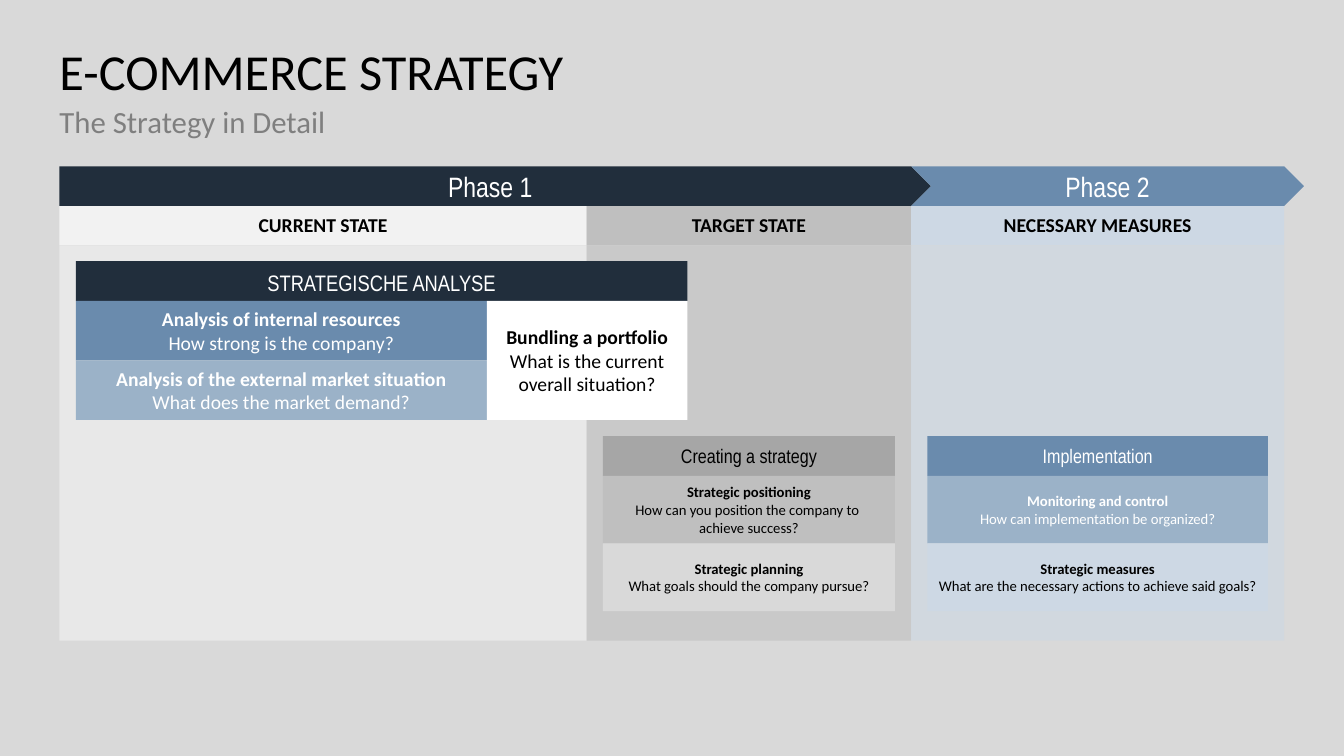
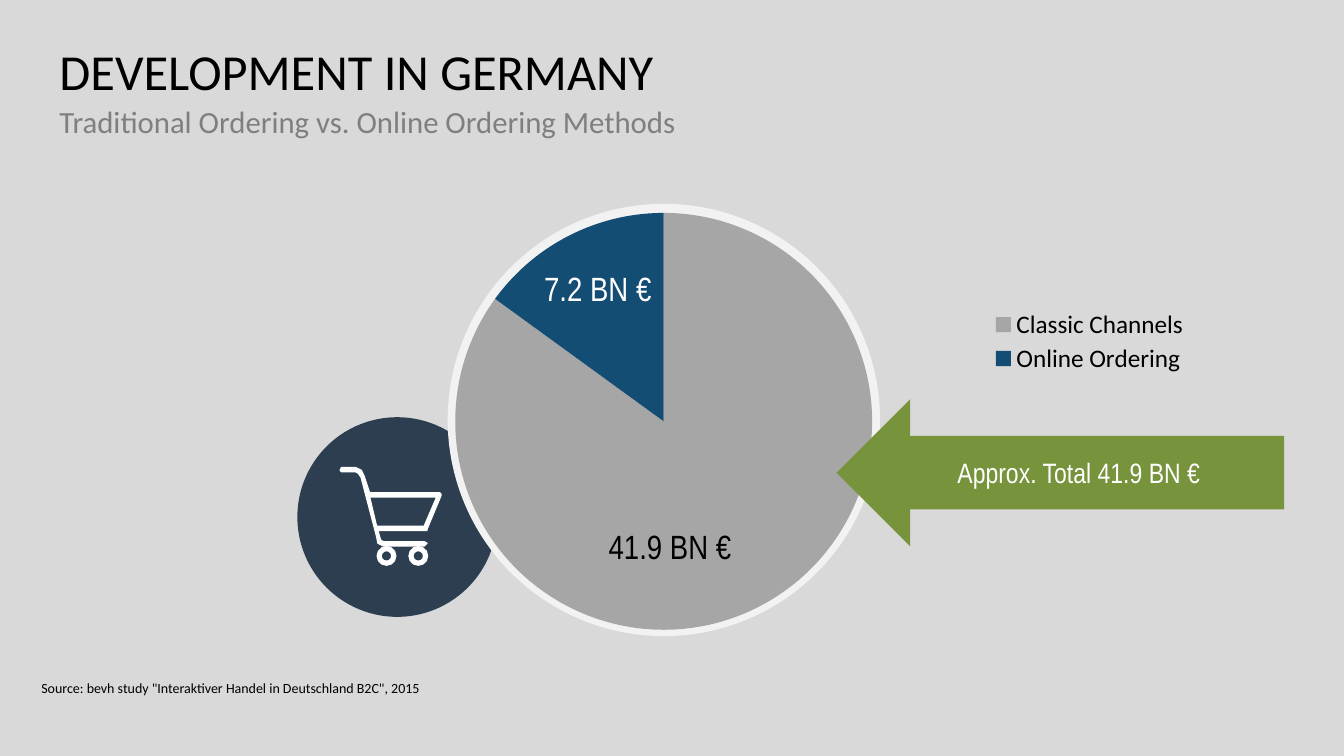
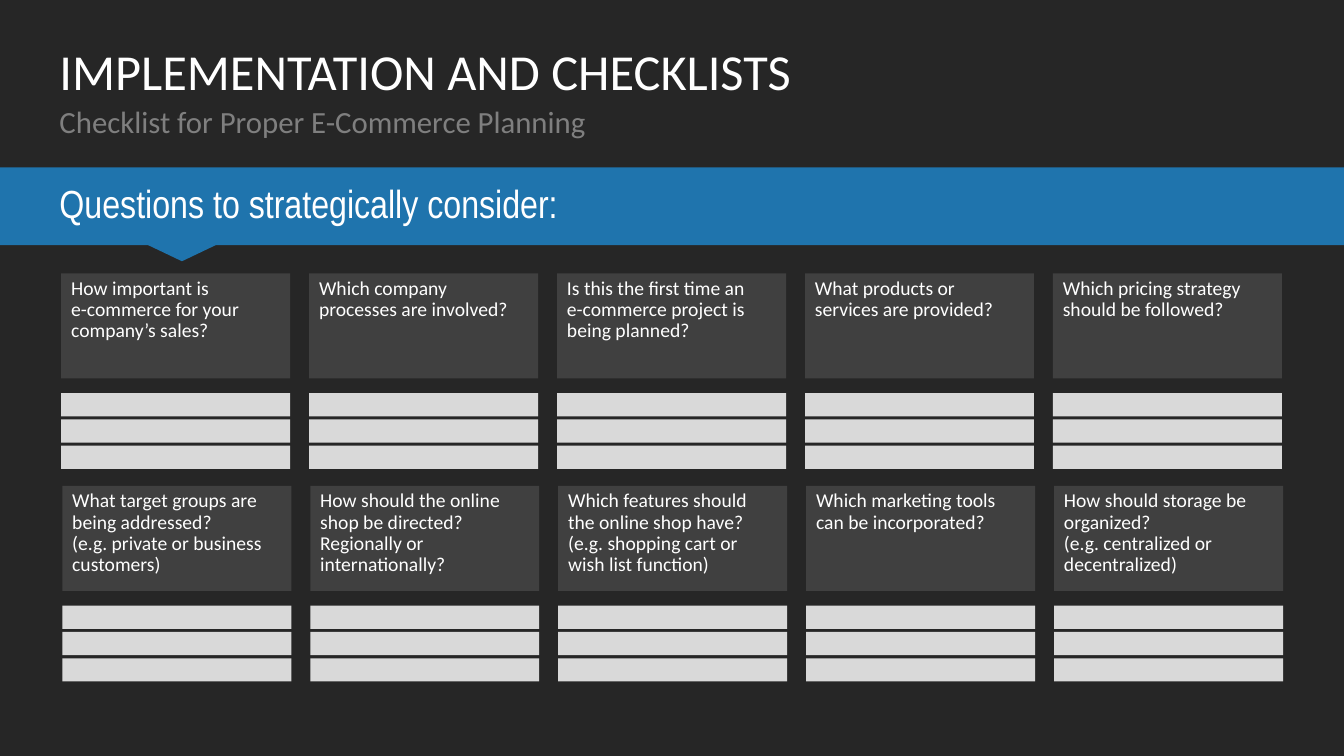
"""Build three slides on e-commerce strategy."""
from copy import deepcopy

from pptx import Presentation
from pptx import util as u
from pptx.chart.data import CategoryChartData
from pptx.dml.color import RGBColor
from pptx.enum import chart as ch, shapes, text
from pptx.oxml import parse_xml
from pptx.oxml.ns import nsdecls

BLACK = RGBColor(0x00, 0x00, 0x00)
WHITE = RGBColor(0xFF, 0xFF, 0xFF)
OFF_WHITE = RGBColor(0xF2, 0xF2, 0xF2)
LIGHT = RGBColor(0xD9, 0xD9, 0xD9)
SILVER = RGBColor(0xBF, 0xBF, 0xBF)
GRAY = RGBColor(0xA6, 0xA6, 0xA6)
SUBTITLE = RGBColor(0x7F, 0x7F, 0x7F)
CHARCOAL = RGBColor(0x40, 0x40, 0x40)
DARK = RGBColor(0x26, 0x26, 0x26)
NAVY = RGBColor(0x21, 0x2E, 0x3C)
SLATE = RGBColor(0x2C, 0x3E, 0x50)
STEEL = RGBColor(0x6A, 0x8B, 0xAD)
MIST = RGBColor(0x9B, 0xB2, 0xC8)
ICE = RGBColor(0xCD, 0xD8, 0xE4)
BLUE = RGBColor(0x1F, 0x74, 0xAD)
DEEP_BLUE = RGBColor(0x14, 0x4D, 0x73)
GREEN = RGBColor(0x77, 0x93, 0x3C)

BODY, NARROW = "Calibri", "Arial Narrow"
SHAPE, ALIGN, ANCHOR = shapes.MSO_SHAPE, text.PP_ALIGN, text.MSO_ANCHOR
LEFT, RIGHT = 42.5, 917.3
NO_INSET = (0, 0, 0, 0)
INSET = (7.2, 3.6, 7.2, 3.6)

CART_OUTLINE = [
    (314.6, 352.8), (313.9, 352.1), (263.5, 352.1), (259.9, 339.8), (257.8, 335.8),
    (254.2, 334.1), (244.1, 334.1), (243.4, 335.5), (244.1, 337), (254.2, 337),
    (256.5, 338), (257.8, 340.6), (268.6, 383), (270.5, 388), (274.3, 389.5),
    (303.1, 389.5), (304.6, 388.1), (303.1, 386.6), (274.3, 386.6), (272, 385.5),
    (270.7, 383), (270, 378.7), (304.6, 378.7), (305.3, 378), (314.6, 353.5)]
CART_BASKET = [(303.1, 375.8), (269.3, 375.8), (263.5, 355), (311.8, 355)]


class Deck:
    def __init__(self):
        self.prs = Presentation()
        self.prs.slide_width, self.prs.slide_height = u.Pt(960), u.Pt(540)

    def slide(self, title, subtitle, background=LIGHT, color=BLACK):
        self.s = self.prs.slides.add_slide(self.prs.slide_layouts[6])
        self.s.background.fill.solid()
        self.s.background.fill.fore_color.rgb = background
        width = RIGHT - LEFT
        self.label(LEFT, 33.8, width, 42.5, title, 36, color=color, spacing=0.9)
        self.label(LEFT, 76.3, width, 42.5, subtitle, 22, color=SUBTITLE, spacing=0.9)

    def set_text(self, sp, content, size, font=BODY, color=BLACK, align=ALIGN.CENTER,
                 anchor=ANCHOR.MIDDLE, inset=NO_INSET, spacing=None, bold_first=False):
        tf = sp.text_frame
        tf.word_wrap = True
        tf.vertical_anchor = anchor
        tf.margin_left, tf.margin_top, tf.margin_right, tf.margin_bottom = map(u.Pt, inset)
        tf.text = content
        for i, p in enumerate(tf.paragraphs):
            p.alignment = align
            if spacing:
                p.line_spacing = spacing
            for r in p.runs:
                r.font.size, r.font.name = u.Pt(size), font
                r.font.color.rgb = color
                r.font.bold = bold_first and i == 0
            for br in p._p.xpath("a:br"):
                br.append(deepcopy(p.runs[0]._r.rPr))

    def label(self, x, y, w, h, content, size, align=ALIGN.LEFT, **style):
        sp = self.s.shapes.add_textbox(*map(u.Pt, (x, y, w, h)))
        self.set_text(sp, content, size, align=align, anchor=ANCHOR.TOP, **style)

    def paint(self, sp, fill, line=None):
        sp.shadow.inherit = False
        sp.fill.solid()
        sp.fill.fore_color.rgb = fill
        if line:
            sp.line.color.rgb, sp.line.width = line, u.Pt(1)
        else:
            sp.line.fill.background()

    def shape(self, x, y, w, h, fill, kind=SHAPE.RECTANGLE, content=None, line=None, **style):
        sp = self.s.shapes.add_shape(kind, *map(u.Pt, (x, y, w, h)))
        self.paint(sp, fill, line)
        if content:
            self.set_text(sp, content, **style)
        return sp

    def panel(self, x, y, w, h, fill, opacity):
        sp = self.shape(x, y, w, h, fill)
        color = sp.element.spPr.xpath("a:solidFill/a:srgbClr")[0]
        color.append(parse_xml(f'<a:alpha {nsdecls("a")} val="{opacity * 1000}"/>'))

    def heading(self, x, y, w, content, fill, size=14, color=WHITE):
        self.shape(x, y, w, 28.3, fill, content=content, size=size, font=NARROW,
                   color=color, anchor=ANCHOR.TOP, inset=(0, 5.8, 0, 5.8))

    def card(self, x, y, w, h, content, fill, size=10.5, color=BLACK):
        self.shape(x, y, w, h, fill, content=content, size=size, color=color, bold_first=True)

    def outline(self, contours, fill):
        first, *others = contours
        builder = self.s.shapes.build_freeform(*first[0], scale=u.Pt(1))
        builder.add_line_segments(first[1:], close=True)
        for points in others:
            builder.move_to(*points[0])
            builder.add_line_segments(points[1:], close=True)
        self.paint(builder.convert_to_shape(), fill, fill)

    def pie(self, x, y, w, h, slices, plot_box, legend_box):
        data = CategoryChartData()
        data.categories = [name for name, _, _ in slices]
        data.add_series("Series 1", [value for _, value, _ in slices])
        chart = self.s.shapes.add_chart(
            ch.XL_CHART_TYPE.PIE, *map(u.Pt, (x, y, w, h)), data).chart
        chart.has_title = False
        chart.font.size, chart.font.name = u.Pt(18), BODY
        chart.font.color.rgb = BLACK
        chart.has_legend = True
        chart.legend.position = ch.XL_LEGEND_POSITION.RIGHT
        chart.legend.include_in_layout = False
        chart.plots[0].vary_by_categories = True
        for i, (_, _, color) in enumerate(slices):
            fmt = chart.plots[0].series[0].points[i].format
            fmt.fill.solid()
            fmt.fill.fore_color.rgb = color
            fmt.line.fill.background()
        self.place(chart.element.xpath(".//c:plotArea")[0], 0, plot_box, True)
        self.place(chart.element.xpath(".//c:legend")[0], 1, legend_box)

    def place(self, parent, index, box, inner=False):
        for old in parent.xpath("c:layout"):
            parent.remove(old)
        target = '<c:layoutTarget val="inner"/>' if inner else ""
        modes = '<c:xMode val="edge"/><c:yMode val="edge"/>'
        sides = "".join(f'<c:{side} val="{value}"/>' for side, value in zip("xywh", box))
        parent.insert(index, parse_xml(
            f'<c:layout {nsdecls("c")}><c:manualLayout>{target}{modes}{sides}'
            '</c:manualLayout></c:layout>'))


def strategy(d):
    d.slide("E-COMMERCE STRATEGY", "The Strategy in Detail")
    band, pad, tip = 28.3, 11.6, 14.1
    phase_y = 118.8
    state_y = phase_y + band
    panel_y = state_y + band
    current, target, measures = LEFT, 419.1, 650.9
    columns = [(current, target, "CURRENT STATE", OFF_WHITE),
               (target, measures, "TARGET STATE", SILVER),
               (measures, RIGHT, "NECESSARY MEASURES", ICE)]
    for x, end, name, fill in columns:
        d.panel(x, panel_y, end - x, 282.2, fill, 60)
        d.shape(x, state_y, end - x, band, fill, content=name, size=14,
                spacing=0.9, bold_first=True)
    for x, end, name, fill, kind in [
            (current, measures, "Phase 1", NAVY, SHAPE.PENTAGON),
            (measures, RIGHT, "Phase 2", STEEL, SHAPE.CHEVRON)]:
        d.shape(x, phase_y, end - x + tip, band, fill, kind, name,
                size=20, font=NARROW, color=WHITE)

    x, y, split, end, row = current + pad, 186.6, 347.8, 491, 42.5
    d.heading(x, y, end - x, "STRATEGISCHE ANALYSE", NAVY, 16)
    y += band
    d.card(x, y, split - x, row,
           "Analysis of internal resources\nHow strong is the company?", STEEL, 14, WHITE)
    d.card(x, y + row, split - x, row,
           "Analysis of the external market situation\nWhat does the market demand?",
           MIST, 14, WHITE)
    d.card(split, y, end - split, 2 * row,
           "Bundling a portfolio\nWhat is the current overall situation?", WHITE, 14)

    y, row = 311.6, 48.3
    blocks = [
        (target, measures, "Creating a strategy", GRAY, BLACK,
         [("Strategic positioning\nHow can you position the company to \vachieve success?",
           SILVER, BLACK),
          ("Strategic planning\nWhat goals should the company pursue?", LIGHT, BLACK)]),
        (measures, RIGHT, "Implementation", STEEL, WHITE,
         [("Monitoring and control\nHow can implementation be organized?", MIST, WHITE),
          ("Strategic measures\nWhat are the necessary actions to achieve said goals?",
           ICE, BLACK)])]
    for x, end, name, fill, color, cards in blocks:
        width = end - x - 2 * pad
        d.heading(x + pad, y, width, name, fill, color=color)
        for i, (content, card_fill, card_color) in enumerate(cards):
            d.card(x + pad, y + band + i * row, width, row, content, card_fill,
                   color=card_color)


def development(d):
    d.slide("DEVELOPMENT IN GERMANY", "Traditional Ordering vs. Online Ordering Methods")
    d.shape(212.4, 298, 142.6, 142.6, SLATE, SHAPE.OVAL)
    d.outline([CART_OUTLINE, CART_BASKET], WHITE)
    for x in (269.5, 292.2):
        wheel = d.shape(x, 390.5, 13.2, 13.2, WHITE, SHAPE.DONUT, line=WHITE)
        wheel.adjustments[0] = 0.21
    d.shape(319.8, 145.6, 308.8, 308.8, OFF_WHITE, SHAPE.OVAL)
    d.pie(238.3, 142.6, 620.6, 316.8,
          [("Classic Channels", 85, GRAY), ("Online Ordering", 15, DEEP_BLUE)],
          (0.14, 0.03, 0.48, 0.94), (0.75, 0.24, 0.24, 0.16))
    d.shape(597.6, 285.1, 319.7, 105.1, GREEN, SHAPE.LEFT_ARROW, "Approx. Total 41.9 BN €",
            size=20, font=NARROW, color=WHITE, inset=INSET)
    d.label(29.5, 486.7, 306, 16.6,
            'Source: bevh study "Interaktiver Handel in Deutschland B2C", 2015', 10, spacing=0.9)
    d.label(380.2, 187.9, 93.6, 36, "7.2 BN €", 24, ALIGN.CENTER,
            font=NARROW, color=WHITE, inset=INSET)
    d.label(427.7, 372.2, 105.1, 36, "41.9 BN €", 24, font=NARROW, inset=INSET)


def checklist(d):
    d.slide("IMPLEMENTATION AND CHECKLISTS", "Checklist for Proper E-Commerce Planning",
            DARK, WHITE)
    d.shape(0, 119.5, 960, 55.6, BLUE, content="Questions to strategically consider:",
            size=28, font=NARROW, color=WHITE, align=ALIGN.LEFT,
            inset=(LEFT, 3.6, LEFT, 3.6), spacing=0.9)
    pointer = d.shape(104.4, 174.4, 51.1, 12.2, BLUE, SHAPE.ISOSCELES_TRIANGLE)
    pointer.rotation = 180
    questions = [
        ["How important is \ve-commerce for your company’s sales?",
         "Which company \vprocesses are involved?",
         "Is this the first time an \ve-commerce project is being planned?",
         "What products or \vservices are provided?",
         "Which pricing strategy should be followed?"],
        ["What target groups are being addressed?\n(e.g. private or business customers)",
         "How should the online shop be directed? Regionally or internationally?",
         "Which features should the online shop have?\n"
         "(e.g. shopping cart or wish list function)",
         "Which marketing tools can be incorporated?",
         "How should storage be organized? \v(e.g. centralized or decentralized)"]]
    width = 163.6
    for row, line in enumerate(questions):
        for col, question in enumerate(line):
            x, y = 43.7 + 177.1 * col + 0.8 * row, 195.3 + 151.8 * row
            d.shape(x, y, width, 75, CHARCOAL, content=question, size=14, color=WHITE,
                    align=ALIGN.LEFT, anchor=ANCHOR.TOP, inset=INSET, spacing=0.9)
            for i in range(3):
                d.shape(x, y + 85.5 + 18.8 * i, width, 16.6, LIGHT)


def main():
    d = Deck()
    strategy(d)
    development(d)
    checklist(d)
    d.prs.save("out.pptx")


if __name__ == "__main__":
    main()
